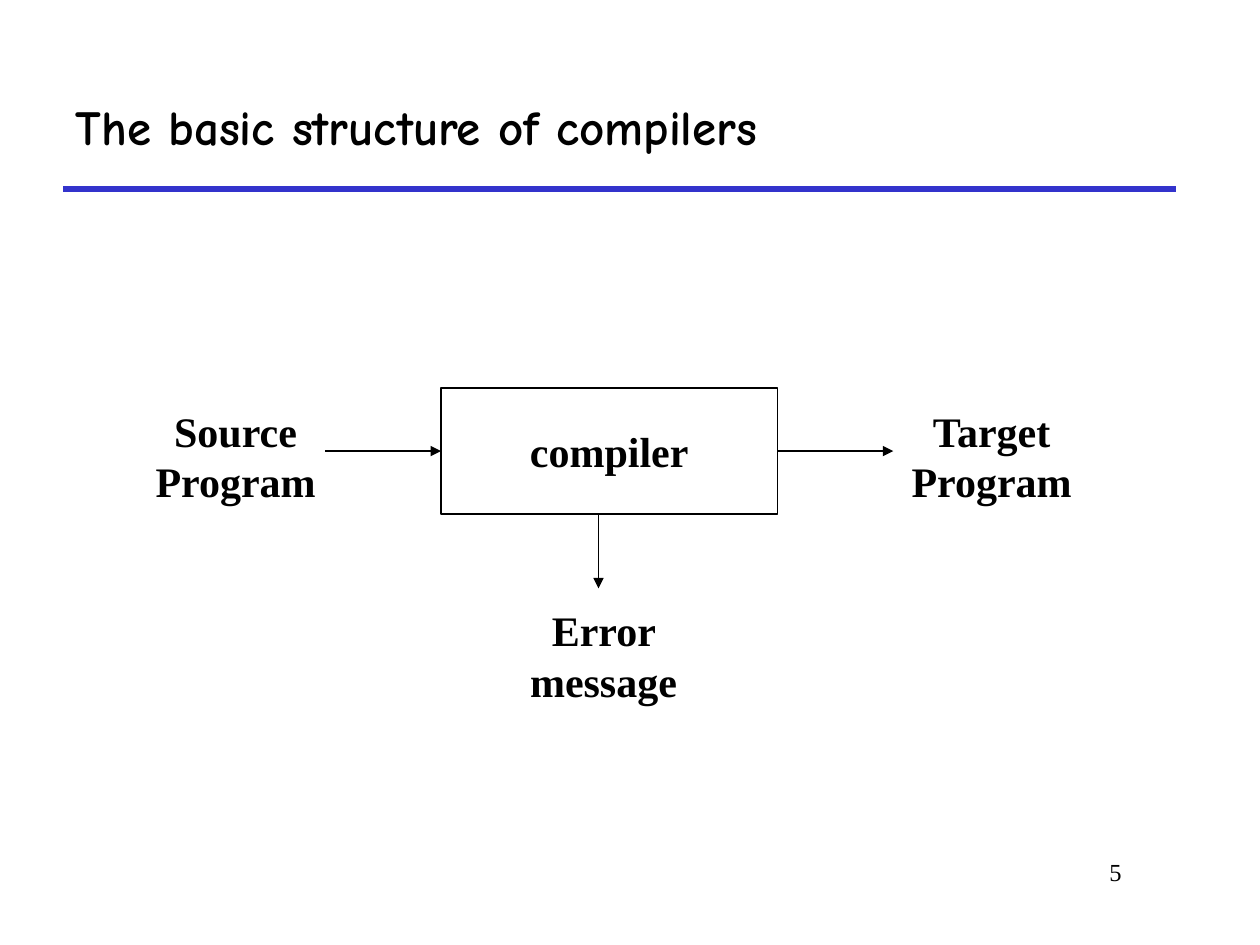
from pptx import Presentation
from pptx.dml.color import RGBColor
from pptx.enum.shapes import MSO_CONNECTOR, MSO_SHAPE
from pptx.enum.text import MSO_ANCHOR, PP_ALIGN
from pptx.oxml.ns import qn
from pptx.util import Inches, Pt
from lxml.etree import SubElement

BLACK, BLUE = "000000", "3333CC"
BODY_FONT, TITLE_FONT = "Times New Roman", "Comic Neue"
BOX_LEFT, BOX_TOP, BOX_WIDTH, BOX_HEIGHT = 3.5, 3.08, 2.67, 1
BOX_RIGHT, BOX_BOTTOM = BOX_LEFT + BOX_WIDTH, BOX_TOP + BOX_HEIGHT
FLOW_Y = BOX_TOP + BOX_HEIGHT / 2
ARROW_LENGTH = 0.92


def color(hex_text):
    return RGBColor.from_string(hex_text)


def write(shape, text, size, font=BODY_FONT, bold=True,
          align=PP_ALIGN.CENTER, anchor=MSO_ANCHOR.TOP):
    frame = shape.text_frame
    frame.word_wrap = True
    frame.vertical_anchor = anchor
    frame.text = text
    paragraph = frame.paragraphs[0]
    paragraph.alignment = align
    paragraph.font.name = font
    paragraph.font.size = Pt(size)
    paragraph.font.bold = bold
    paragraph.font.color.rgb = color(BLACK)


def add_title(slide, text):
    title = slide.shapes.title
    title.left, title.top = Inches(0.5), Inches(0.5)
    title.width, title.height = Inches(8.83), Inches(1)
    write(title, text, 28, TITLE_FONT, align=PP_ALIGN.LEFT,
          anchor=MSO_ANCHOR.MIDDLE)


def add_label(slide, text, left, top, width, height=0.9, size=24, **style):
    box = slide.shapes.add_textbox(
        Inches(left), Inches(top), Inches(width), Inches(height))
    write(box, text, size, **style)


def add_box(slide, text):
    box = slide.shapes.add_shape(
        MSO_SHAPE.RECTANGLE, Inches(BOX_LEFT), Inches(BOX_TOP),
        Inches(BOX_WIDTH), Inches(BOX_HEIGHT))
    box.shadow.inherit = False
    box.fill.background()
    box.line.color.rgb = color(BLACK)
    box.line.width = Pt(0.75)
    write(box, text, 24, anchor=MSO_ANCHOR.MIDDLE)


def add_line(slide, start, end, line_color=BLACK, width=0.75, arrow=True):
    line = slide.shapes.add_connector(
        MSO_CONNECTOR.STRAIGHT, *map(Inches, start + end))
    line.line.color.rgb = color(line_color)
    line.line.width = Pt(width)
    if arrow:
        SubElement(line.line._get_or_add_ln(), qn("a:tailEnd"), type="triangle")
    SubElement(line._element.spPr, qn("a:effectLst"))


def main():
    presentation = Presentation()
    presentation.slide_width, presentation.slide_height = Inches(10), Inches(7.5)
    slide = presentation.slides.add_slide(presentation.slide_layouts[5])

    add_title(slide, "The basic structure of compilers")
    add_line(slide, (0.5, 1.5), (9.33, 1.5), BLUE, 3, arrow=False)

    add_box(slide, "compiler")
    add_line(slide, (BOX_LEFT - ARROW_LENGTH, FLOW_Y), (BOX_LEFT, FLOW_Y))
    add_line(slide, (BOX_RIGHT, FLOW_Y), (BOX_RIGHT + ARROW_LENGTH, FLOW_Y))
    add_line(slide, (4.75, BOX_BOTTOM), (4.75, 4.67))

    add_label(slide, "Source Program", 1.08, 3.17, 1.58)
    add_label(slide, "Target Program", 7.08, 3.17, 1.58)
    add_label(slide, "Error message", 3.83, 4.75, 1.92)
    add_label(slide, "5", 7.58, 6.75, 1.42, 0.5, size=14, bold=False,
              align=PP_ALIGN.RIGHT)

    presentation.save("out.pptx")


if __name__ == "__main__":
    main()
